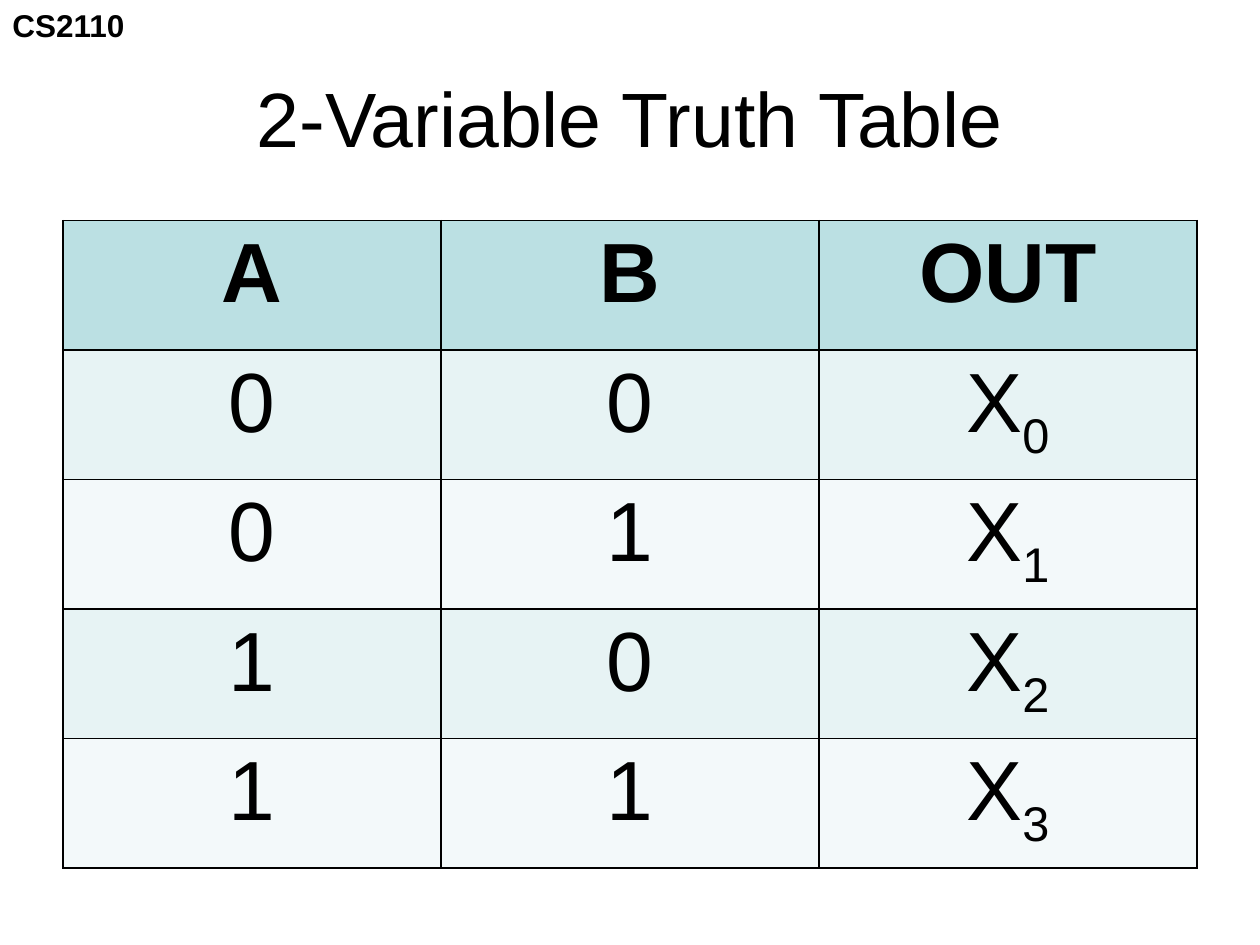
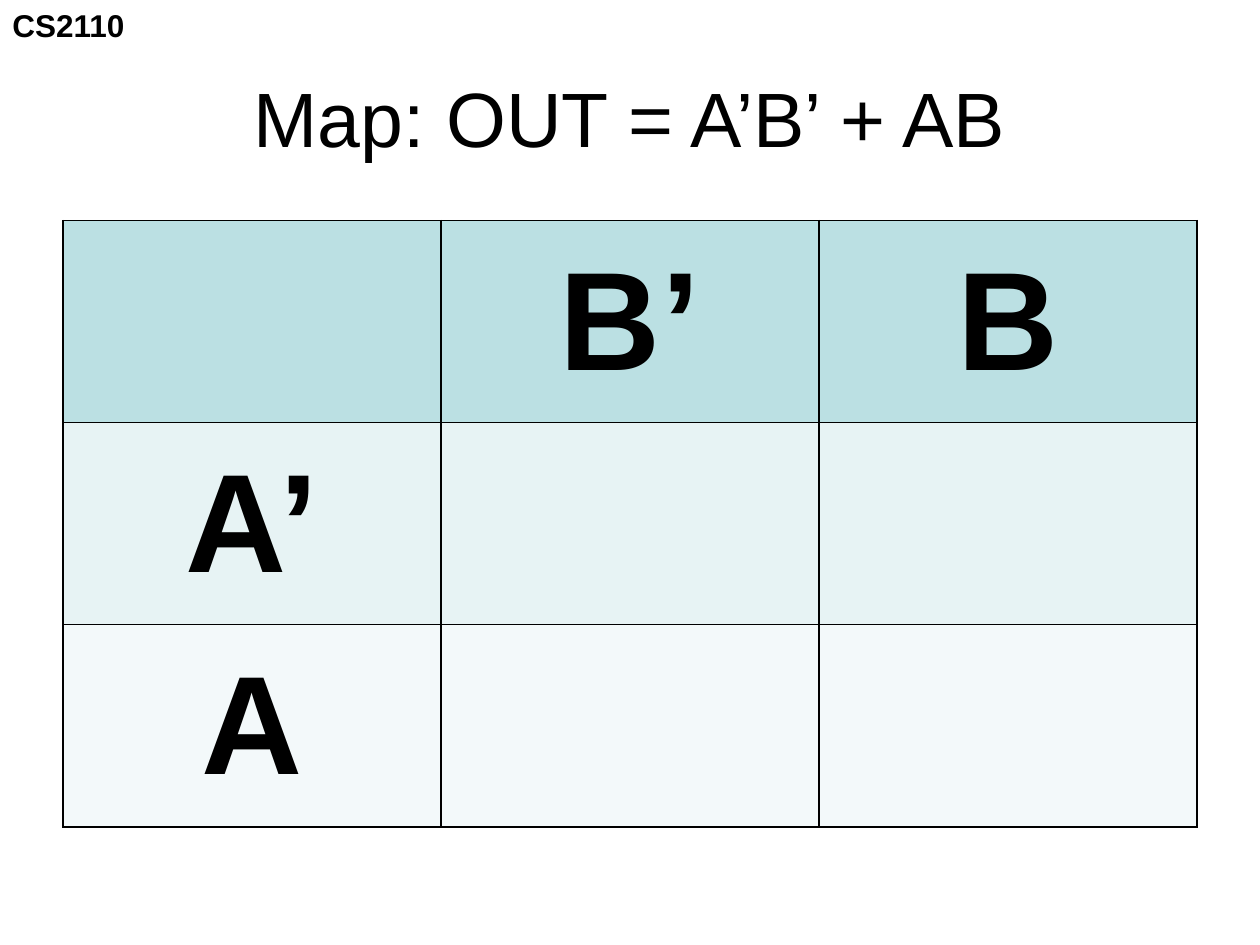
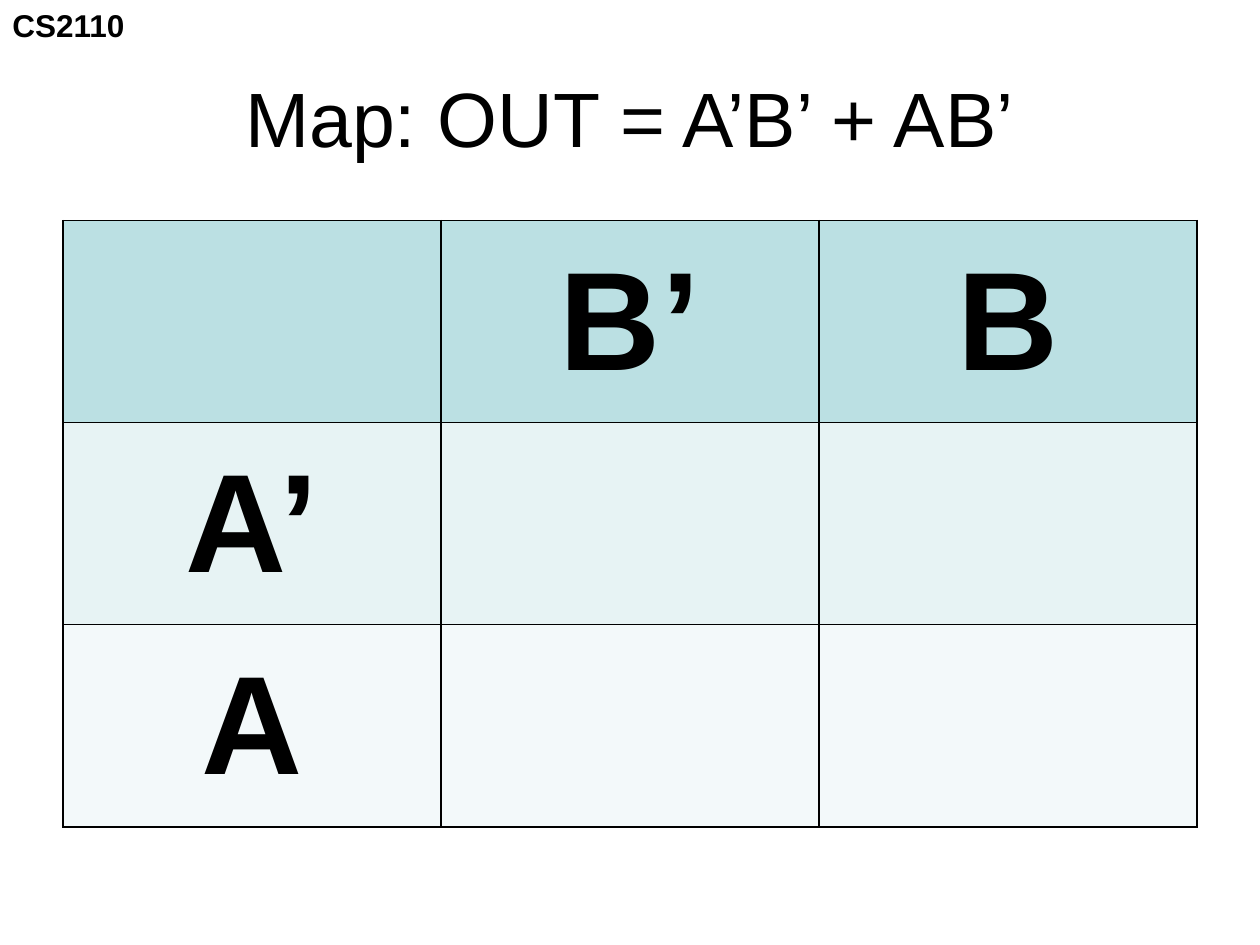
import pptx
import pptx.dml.color
import pptx.enum.text
import pptx.oxml
import pptx.oxml.ns
import pptx.util

Pt = pptx.util.Pt
PP_ALIGN = pptx.enum.text.PP_ALIGN
MSO_ANCHOR = pptx.enum.text.MSO_ANCHOR

COLORS = {
    "text": "000000",
    "border": "000000",
    "header": "BBE0E3",
    "odd": "E7F3F4",
    "even": "F3F9FA",
}
FONT = "Arial"
COURSE = "CS2110"
LEFT, WIDTH = 36, 648
TITLE_TOP, TITLE_HEIGHT = 21.6, 90
TABLE_TOP = 126
MAP_ROWS = [["", "B’", "B"], ["A’", "", ""], ["A", "", ""]]


def rgb(name):
    return pptx.dml.color.RGBColor.from_string(COLORS[name])


class Deck:
    def __init__(self):
        self.prs = pptx.Presentation()
        self.prs.slide_width, self.prs.slide_height = Pt(720), Pt(540)
        self.s = None

    def slide(self, title):
        self.s = self.prs.slides.add_slide(self.prs.slide_layouts[5])
        self.course_label()
        self.title(title)

    def run(self, p, text, size, bold=False, subscript=False):
        r = p.add_run()
        r.text = text
        r.font.name, r.font.size, r.font.bold = FONT, Pt(size), bold
        r.font.color.rgb = rgb("text")
        if subscript:
            r.font._element.set("baseline", "-25000")

    def course_label(self):
        sp = self.s.shapes.add_textbox(0, 0, Pt(79.2), Pt(28.8))
        tf = sp.text_frame
        tf.word_wrap = False
        tf.auto_size = pptx.enum.text.MSO_AUTO_SIZE.SHAPE_TO_FIT_TEXT
        self.run(tf.paragraphs[0], COURSE, 18, bold=True)

    def title(self, text):
        sp = self.s.shapes.title
        sp.left, sp.top = Pt(LEFT), Pt(TITLE_TOP)
        sp.width, sp.height = Pt(WIDTH), Pt(TITLE_HEIGHT)
        tf = sp.text_frame
        tf.vertical_anchor = MSO_ANCHOR.MIDDLE
        p = tf.paragraphs[0]
        p.alignment = PP_ALIGN.CENTER
        self.run(p, text, 44)

    def borders(self, cell):
        tc_pr = cell._tc.get_or_add_tcPr()
        for side in ("lnL", "lnR", "lnT", "lnB"):
            tc_pr.append(pptx.oxml.parse_xml(
                f'<a:{side} {pptx.oxml.ns.nsdecls("a")} w="{Pt(1)}"><a:solidFill>'
                f'<a:srgbClr val="{COLORS["border"]}"/></a:solidFill></a:{side}>'))

    def table(self, rows, row_height, size, anchor, bold_column=None):
        """Draw rows of text; an underscore in a cell starts its subscript."""
        columns = len(rows[0])
        table = self.s.shapes.add_table(
            len(rows), columns, Pt(LEFT), Pt(TABLE_TOP),
            Pt(WIDTH), Pt(row_height * len(rows))).table
        table.first_row = table.horz_banding = False
        for i, row in enumerate(rows):
            table.rows[i].height = Pt(row_height)
            fill = "header" if i == 0 else "odd" if i % 2 else "even"
            for j, text in enumerate(row):
                cell = table.cell(i, j)
                self.borders(cell)
                cell.fill.solid()
                cell.fill.fore_color.rgb = rgb(fill)
                cell.vertical_anchor = anchor
                if not text:
                    continue
                p = cell.text_frame.paragraphs[0]
                p.alignment = PP_ALIGN.CENTER
                base, _, sub = text.partition("_")
                bold = i == 0 or j == bold_column
                self.run(p, base, size, bold)
                if sub:
                    self.run(p, sub, size, bold, subscript=True)


def main():
    deck = Deck()

    deck.slide("2-Variable Truth Table")
    truth_rows = [[str(n // 2), str(n % 2), f"X_{n}"] for n in range(4)]
    deck.table([["A", "B", "OUT"]] + truth_rows, 74, 48, MSO_ANCHOR.TOP)

    for formula in ("A’B’ + AB", "A’B’ + AB’"):
        deck.slide(f"Map: OUT = {formula}")
        deck.table(MAP_ROWS, 115.5, 80, MSO_ANCHOR.MIDDLE, bold_column=0)

    deck.prs.save("out.pptx")


if __name__ == "__main__":
    main()
